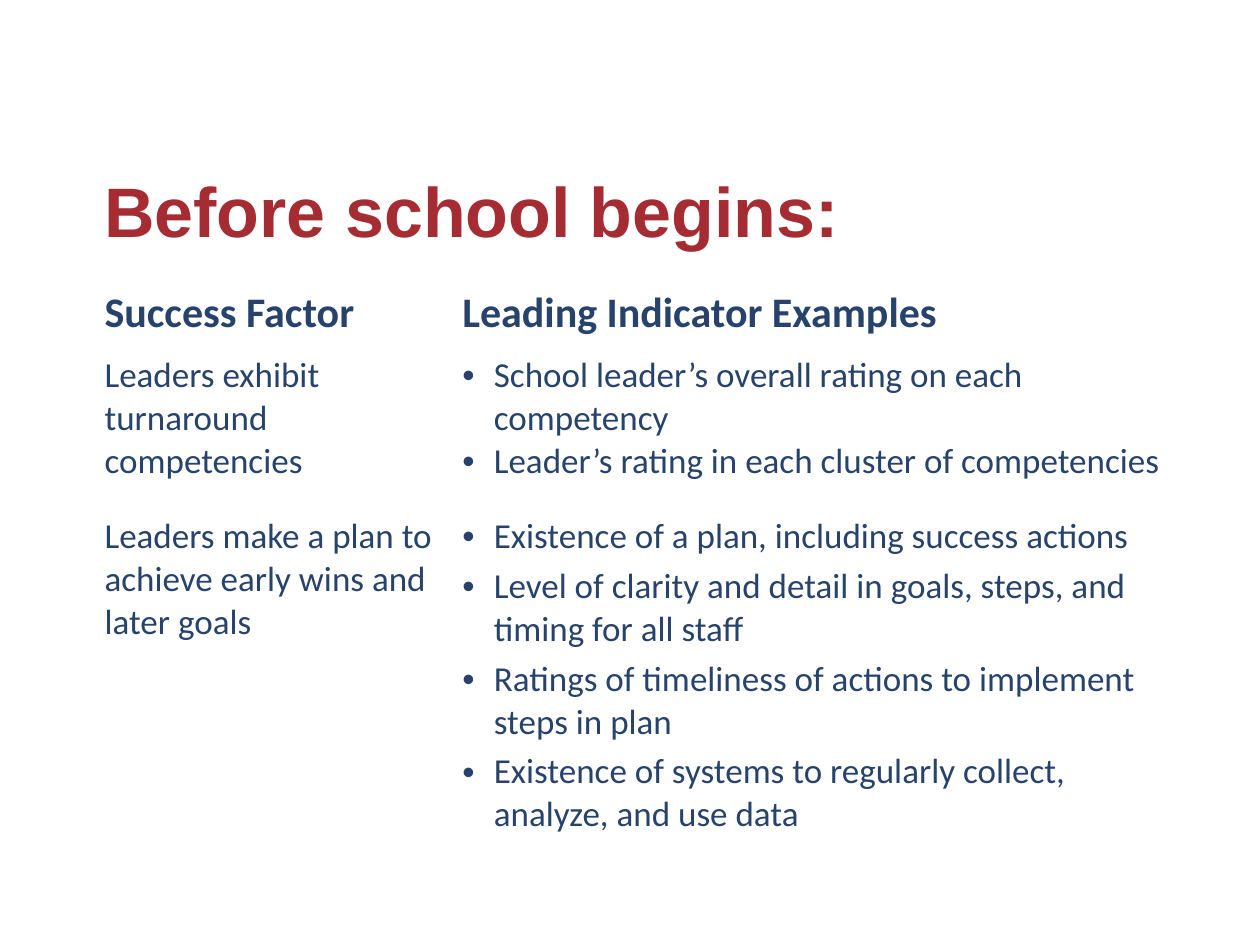
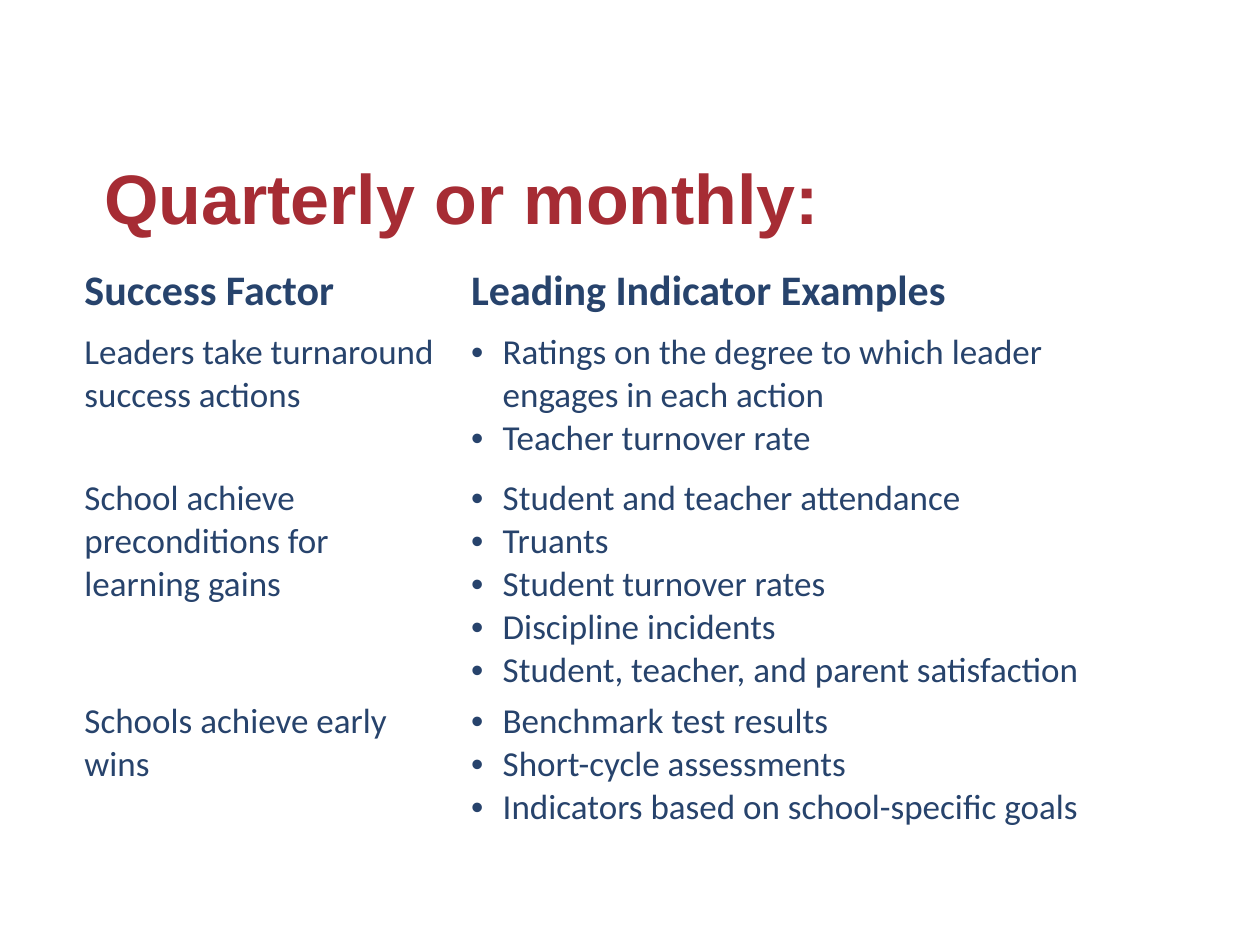
from dataclasses import dataclass

from lxml import etree
from pptx import Presentation
from pptx.dml.color import RGBColor
from pptx.enum.text import MSO_ANCHOR
from pptx.oxml.ns import qn
from pptx.util import Inches, Pt

MIDDLE = MSO_ANCHOR.MIDDLE
BLANK_LAYOUT = 6


@dataclass(frozen=True)
class Theme:
    red: RGBColor = RGBColor(0xA6, 0x2C, 0x34)
    navy: RGBColor = RGBColor(0x27, 0x43, 0x6C)
    title_font: str = "Arial"
    body_font: str = "Calibri"
    title_size: int = 40
    heading_size: int = 24
    body_size: int = 20
    bullet_indent: float = 0.25


THEME = Theme()
TITLE = {"name": THEME.title_font, "size": Pt(THEME.title_size), "bold": True}
HEADING = {"name": THEME.body_font, "size": Pt(THEME.heading_size), "bold": True}
BODY = {"name": THEME.body_font, "size": Pt(THEME.body_size), "bold": False}

HEADINGS = ("Success Factor", "Leading Indicator Examples")

SLIDES = [
    {
        "title": "Before school begins:",
        "title_box": (0.73, 1.14, 8.6, 1.05),
        "table_at": (0.73, 2.23),
        "columns": (2.84, 5.76),
        "row_heights": (0.53, 1.28, 2.7),
        "factors": [
            ("Leaders exhibit turnaround competencies", [
                "School leader’s overall rating on each competency",
                "Leader’s rating in each cluster of competencies",
            ]),
            ("Leaders make a plan to achieve early wins and later goals", [
                "Existence of a plan, including success actions",
                "Level of clarity and detail in goals, steps, and timing for all staff",
                "Ratings of timeliness of actions to implement steps in plan",
                "Existence of systems to regularly collect, analyze, and use data",
            ]),
        ],
        "spaced_factor": 1,
    },
    {
        "title": "Quarterly or monthly:",
        "title_box": (0.73, 1.16, 8.6, 0.8),
        "table_at": (0.57, 2.06),
        "columns": (3.07, 5.69),
        "row_heights": (0.52, 1.16, 1.76, 1.15),
        "factors": [
            ("Leaders take turnaround success actions", [
                "Ratings on the degree to which leader engages in each action",
                "Teacher turnover rate",
            ]),
            ("School achieve preconditions for learning gains", [
                "Student and teacher attendance",
                "Truants",
                "Student turnover rates",
                "Discipline incidents",
                "Student, teacher, and parent satisfaction",
            ]),
            ("Schools achieve early wins", [
                "Benchmark test results",
                "Short-cycle assessments",
                "Indicators based on school-specific goals",
            ]),
        ],
        "spaced_factor": None,
    },
]


def write(paragraph, text, style, color):
    run = paragraph.add_run()
    run.text = text
    for attribute, value in style.items():
        setattr(run.font, attribute, value)
    run.font.color.rgb = color


def add_bullet(paragraph):
    properties = paragraph._p.get_or_add_pPr()
    indent = Inches(THEME.bullet_indent)
    properties.set("marL", str(indent))
    properties.set("indent", str(-indent))
    for tag, attribute, value in (("a:buFont", "typeface", "Arial"), ("a:buChar", "char", "•")):
        etree.SubElement(properties, qn(tag)).set(attribute, value)


def add_title(slide, text, box):
    frame = slide.shapes.add_textbox(*map(Inches, box)).text_frame
    frame.word_wrap = True
    frame.vertical_anchor = MIDDLE
    write(frame.paragraphs[0], text, TITLE, THEME.red)


def fill_indicators(cell, indicators, spaced):
    frame = cell.text_frame
    for index, indicator in enumerate(indicators):
        paragraph = frame.add_paragraph() if index else frame.paragraphs[0]
        if spaced:
            paragraph.level = 1
            paragraph.space_before = Pt(0.2 * THEME.body_size if index else 0)
        add_bullet(paragraph)
        write(paragraph, indicator, BODY, THEME.navy)


def add_factor_table(slide, at, columns, row_heights, factors, spaced_factor):
    box = (*at, sum(columns), sum(row_heights))
    table = slide.shapes.add_table(len(row_heights), len(columns), *map(Inches, box)).table
    table.first_row = table.horz_banding = False
    for column, width in zip(table.columns, columns):
        column.width = Inches(width)
    for row, height in zip(table.rows, row_heights):
        row.height = Inches(height)
    for cell in table.iter_cells():
        cell.fill.background()
    for column, heading in enumerate(HEADINGS):
        write(table.cell(0, column).text_frame.paragraphs[0], heading, HEADING, THEME.navy)
    for index, (factor, indicators) in enumerate(factors):
        row = index + 1
        write(table.cell(row, 0).text_frame.paragraphs[0], factor, BODY, THEME.navy)
        fill_indicators(table.cell(row, 1), indicators, index == spaced_factor)


def add_factor_slide(deck, content):
    slide = deck.slides.add_slide(deck.slide_layouts[BLANK_LAYOUT])
    add_title(slide, content["title"], content["title_box"])
    add_factor_table(slide, content["table_at"], content["columns"], content["row_heights"],
                     content["factors"], content["spaced_factor"])


def main():
    deck = Presentation()
    deck.slide_width, deck.slide_height = Inches(10), Inches(7.5)
    for content in SLIDES:
        add_factor_slide(deck, content)
    deck.save("out.pptx")


if __name__ == "__main__":
    main()
